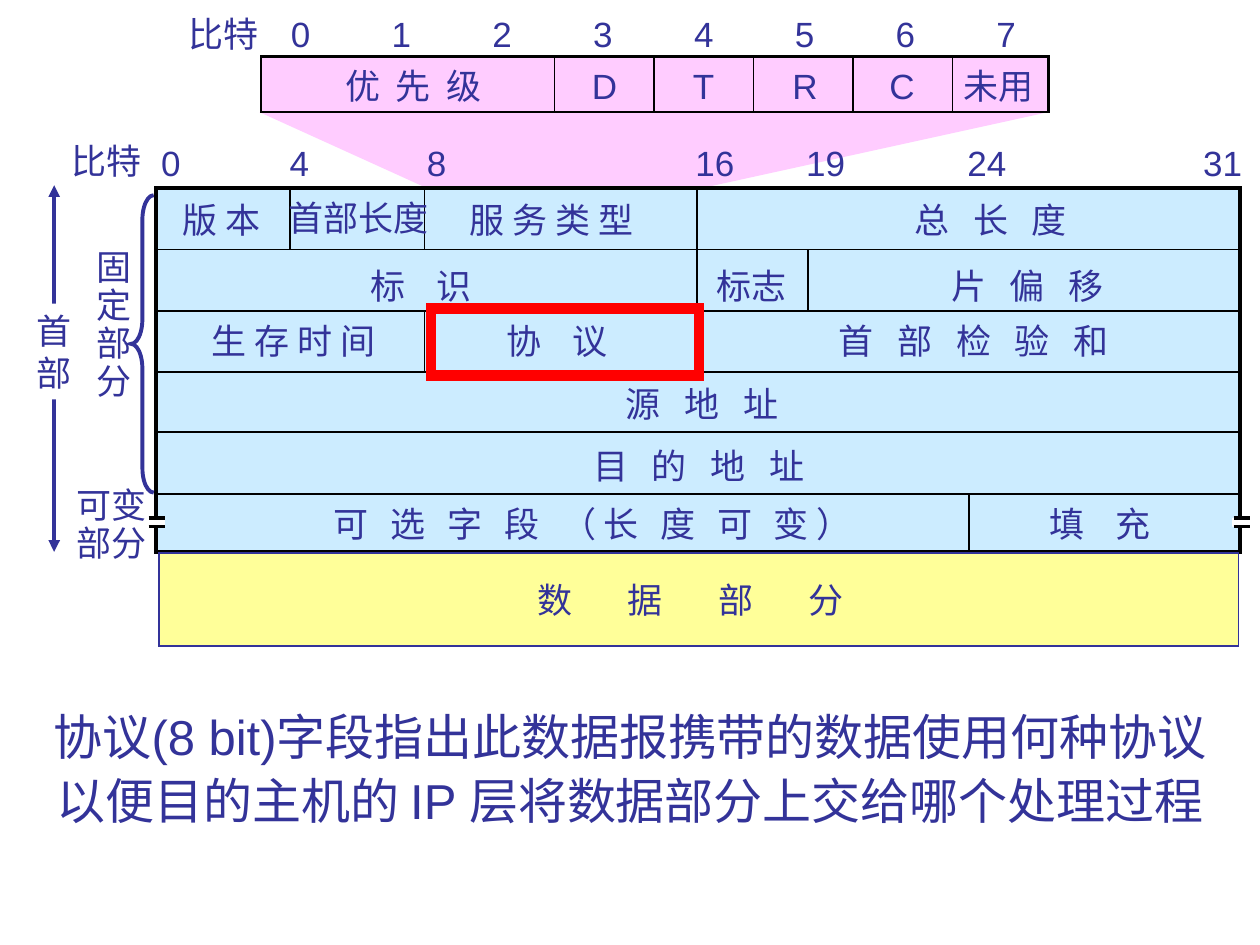
from lxml import etree
from pptx import Presentation
from pptx.dml.color import RGBColor
from pptx.enum.shapes import MSO_CONNECTOR, MSO_SHAPE as Shape
from pptx.enum.text import MSO_AUTO_SIZE as AutoSize, PP_ALIGN as Align
from pptx.oxml.ns import qn
from pptx.util import Inches, Pt

INK, BLACK, WHITE = "333399", "000000", "FFFFFF"
PINK, BLUE, YELLOW, RED = "FFCCFF", "CCECFF", "FFFF99", "FF0000"


def color(value):
    return RGBColor.from_string(value)


class Canvas:
    font, size = "Arial", 20

    def __init__(self, page):
        self.page = page

    def style(self, shape, fill, line, weight):
        shape.shadow.inherit = False
        if fill:
            shape.fill.solid()
            shape.fill.fore_color.rgb = color(fill)
        else:
            shape.fill.background()
        if line:
            shape.line.color.rgb = color(line)
            shape.line.width = Pt(weight)
            etree.SubElement(shape.line._get_or_add_ln(), qn("a:miter"), lim="800000")
        else:
            shape.line.fill.background()
        return shape

    def shape(self, left, top, width, height, fill=None, line=None, weight=1,
              kind=Shape.RECTANGLE):
        shape = self.page.shapes.add_shape(
            kind, Inches(left), Inches(top), Inches(width), Inches(height))
        return self.style(shape, fill, line, weight)

    def polygon(self, points, fill):
        corners = [(Inches(x), Inches(y)) for x, y in points]
        builder = self.page.shapes.build_freeform(*corners[0])
        builder.add_line_segments(corners[1:], close=True)
        return self.style(builder.convert_to_shape(), fill, None, 0)

    def line(self, x1, y1, x2, y2, weight=1, ink=BLACK, arrows=False):
        line = self.page.shapes.add_connector(
            MSO_CONNECTOR.STRAIGHT, Inches(x1), Inches(y1), Inches(x2), Inches(y2))
        line.line.color.rgb = color(ink)
        line.line.width = Pt(weight)
        if arrows:
            for end in ("headEnd", "tailEnd"):
                etree.SubElement(line.line._get_or_add_ln(), qn(f"a:{end}"), type="triangle")
        etree.SubElement(line._element.spPr, qn("a:effectLst"))

    def text(self, left, top, width, text, height=0.43, size=None, leading=None,
             align=Align.LEFT, tracking=0, fill=None):
        # the box is widened by the tracking after the last letter
        box = self.page.shapes.add_textbox(
            Inches(left), Inches(top), Inches(width) + Pt(tracking), Inches(height))
        if fill:
            self.style(box, fill, None, 0)
        frame = box.text_frame
        frame.word_wrap = False
        frame.auto_size = AutoSize.SHAPE_TO_FIT_TEXT
        frame.text = text
        for para in frame.paragraphs:
            para.alignment = align
            if leading:
                para.line_spacing = leading
            para.font.name = self.font
            para.font.size = Pt(size or self.size)
            para.font.color.rgb = color(INK)
            if tracking:
                for span in para.runs:
                    span._r.get_or_add_rPr().set("spc", str(round(tracking * 100)))


deck = Presentation()
deck.slide_width, deck.slide_height = Inches(10), Inches(7.5)
canvas = Canvas(deck.slides.add_slide(deck.slide_layouts[6]))

# Header extent arrow
canvas.line(0.43, 1.47, 0.43, 4.38, 2.25, INK, arrows=True)
canvas.text(0.19, 2.41, 0.48, "首\n部", height=0.76, fill=WHITE)

# Header, data and the zoom wedge
canvas.polygon([(2.06, 0.89), (8.32, 0.89), (5.54, 1.5), (3.36, 1.48)], PINK)
canvas.shape(1.24, 1.49, 8.6, 2.89, BLUE, BLACK, 2)
canvas.shape(1.26, 4.39, 8.57, 0.74, YELLOW, INK)

# Row and field dividers
ROW_TOPS = [1.5 + 0.48 * row for row in range(7)]
ROW_TOPS = [1.49, 1.98, 2.47, 2.95, 3.43, 3.92, 4.38]
for y in ROW_TOPS[1:6]:
    canvas.line(1.24, y, 9.85, y)
for x, first, last in [(2.3, 0, 1), (3.37, 0, 1), (3.37, 2, 3), (5.53, 0, 3),
                       (6.41, 1, 2), (7.69, 5, 6)]:
    canvas.line(x, ROW_TOPS[first], x, ROW_TOPS[last])

# Header bit numbers
canvas.text(0.47, 1.06, 0.76, "比特")
for left, bit in [(1.18, 0), (2.2, 4), (3.29, 8), (5.42, 16), (6.3, 19),
                  (7.58, 24), (9.45, 31)]:
    canvas.text(left, 1.07, 0.35 if bit < 10 else 0.51, str(bit))

# Header fields: left, top, width, name, tracking
FIELDS = [
    (1.35, 1.53, 0.82, "版 本", 0),
    (2.19, 1.51, 1.31, "首部长度", 0),
    (3.63, 1.53, 1.5, "服 务 类 型", 0),
    (7.16, 1.53, 1.41, "总 长 度", 4.5),
    (2.84, 2.05, 1, "标 识", 6.75),
    (5.59, 2.05, 0.76, "标志", 0),
    (7.45, 2.05, 1.41, "片 偏 移", 4.5),
    (1.58, 2.49, 1.5, "生 存 时 间", 0),
    (3.92, 2.49, 1, "协 议", 6.75),
    (6.56, 2.49, 2.34, "首 部 检 验 和", 4.5),
    (4.87, 2.99, 1.41, "源 地 址", 4.5),
    (4.61, 3.48, 1.87, "目 的 地 址", 4.5),
    (2.55, 3.94, 4.5, "可 选 字 段 （长 度 可 变）", 4),
    (8.23, 3.94, 1, "填 充", 6.75),
    (4.17, 4.54, 2.62, "数 据 部 分", 13.5),
]
for left, top, width, name, tracking in FIELDS:
    canvas.text(left, top, width, name, tracking=tracking)

# Break marks on both sides of the variable part
for left in (1.18, 9.79):
    canvas.shape(left - 0.01, 4.11, 0.14, 0.07, WHITE)
    for y in (4.11, 4.18):
        canvas.line(left, y, left + 0.13, y, 2)

# Service type bits
canvas.shape(2.07, 0.45, 6.25, 0.44, PINK, BLACK, 1.5)
for divider in range(5):
    x = 4.4 + 0.79 * divider
    canvas.line(x, 0.45, x, 0.89)
canvas.text(1.4, 0.05, 0.76, "比特")
for bit in range(8):
    canvas.text(2.21 + 0.8 * bit, 0.05, 0.35, str(bit))
canvas.text(2.64, 0.46, 1.28, "优 先 级", tracking=2.25)
for left, width, name in [(4.6, 0.4, "D"), (5.4, 0.37, "T"), (6.19, 0.4, "R"),
                          (6.96, 0.4, "C"), (7.55, 0.76, "未用")]:
    canvas.text(left, 0.46, width, name)

# Fixed and variable part labels
canvas.text(0.67, 1.94, 0.48, "固\n定\n部\n分", height=1.3, leading=0.9)
canvas.text(0.51, 3.83, 0.76, "可变\n部分", height=0.7, leading=0.9)
brace = canvas.shape(1.04, 1.55, 0.18, 2.36, line=INK, weight=2.25, kind=Shape.LEFT_BRACE)
brace.adjustments[0] = 1.08

# Protocol highlight and explanation
canvas.shape(3.42, 2.45, 2.13, 0.53, line=RED, weight=6)
canvas.text(0.1, 5.51, 9.8,
            "协议(8 bit)字段指出此数据报携带的数据使用何种协议\n"
            "以便目的主机的 IP 层将数据部分上交给哪个处理过程",
            height=1.13, size=28, leading=1.1, align=Align.CENTER)

deck.save("out.pptx")
